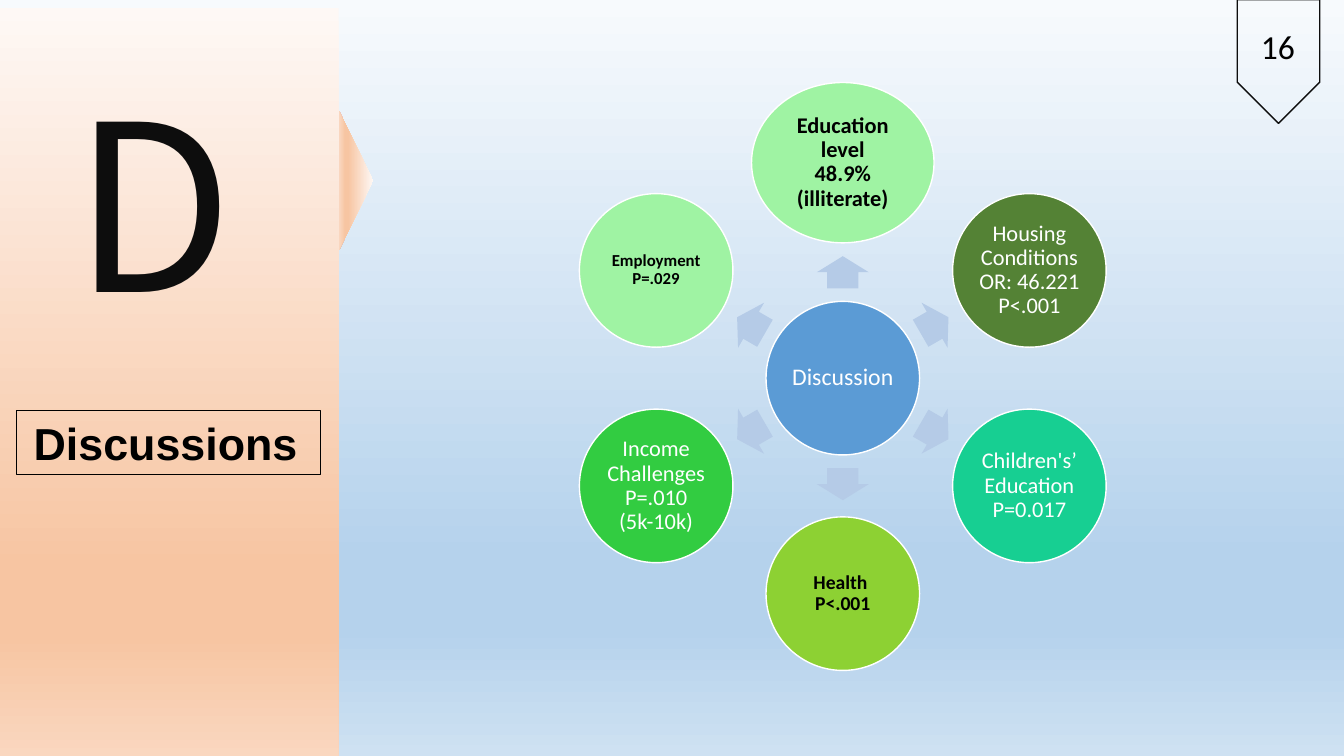
from dataclasses import dataclass
from math import cos, radians, sin

from lxml import etree
from pptx import Presentation
from pptx.dml import color
from pptx.enum import shapes, text
from pptx.oxml import ns
from pptx.util import Cm, Pt


@dataclass(frozen=True)
class Theme:
    backdrop: tuple = ("F7FAFD", "B5D2EC", "B5D2EC", "CEE1F2")
    panel: tuple = ("FEF8F5", "F7C5A2", "F7C5A2", "FAD8C1")
    stops: tuple = (0, 74, 83, 100)
    hub: str = "5B9BD5"
    arrow: str = "B5CBE7"
    mint: str = "9FF3A3"
    olive: str = "548235"
    teal: str = "17CF92"
    lime: str = "8DD133"
    green: str = "32CC41"
    white: str = "FFFFFF"
    black: str = "000000"
    ink: str = "0D0D0D"
    body: str = "Calibri"
    heading: str = "Arial"
    display: str = "Noto Sans CJK JP"
    small: int = 12
    medium: int = 14
    normal: int = 16
    hub_size: int = 17
    gap: int = 18
    number: int = 24
    title: int = 32
    letter: int = 166


theme = Theme()
prs = Presentation()
prs.slide_width, prs.slide_height = Cm(33.87), Cm(19.05)
s = prs.slides.add_slide(prs.slide_layouts[6])


def add_centred(kind, x, y, w, h, fill=None, line=None, width=1, angle=0):
    sp = s.shapes.add_shape(kind, Cm(x - w / 2), Cm(y - h / 2), Cm(w), Cm(h))
    sp.shadow.inherit = False
    sp.rotation = angle
    if fill:
        sp.fill.solid()
        sp.fill.fore_color.rgb = color.RGBColor.from_string(fill)
    else:
        sp.fill.background()
    if line:
        sp.line.color.rgb = color.RGBColor.from_string(line)
        sp.line.width = Pt(width)
    else:
        sp.line.fill.background()
    return sp


def write(sp, words, size, ink, font=theme.body, bold=False, spacing=1.0):
    tf = sp.text_frame
    tf.text = words
    tf.word_wrap = True
    tf.vertical_anchor = text.MSO_ANCHOR.MIDDLE
    tf.margin_left = tf.margin_right = tf.margin_top = tf.margin_bottom = Cm(0.05)
    p = tf.paragraphs[0]
    p.alignment = text.PP_ALIGN.CENTER
    p.line_spacing = spacing
    for r in p.runs:
        r.font.name, r.font.size, r.font.bold = font, Pt(size), bold
        r.font.color.rgb = color.RGBColor.from_string(ink)


kinds = shapes.MSO_SHAPE
pointer = add_centred(kinds.ISOSCELES_TRIANGLE, 8.98, 4.55, 3.48, 0.86, angle=90)
panel = add_centred(kinds.RECTANGLE, 4.27, 9.73, 8.53, 19.05)

gradients = [
    (s.background.fill, s.element, theme.backdrop),
    (pointer.fill, pointer.element, theme.panel),
    (panel.fill, panel.element, theme.panel),
]
for fill, element, colours in gradients:
    fill.gradient()
    fill.gradient_angle = 270
    stop_list = next(element.iter(ns.qn("a:gsLst")))
    for stop in list(stop_list):
        stop_list.remove(stop)
    for position, colour in zip(theme.stops, colours):
        stop = etree.SubElement(stop_list, ns.qn("a:gs"), pos=str(position * 1000))
        etree.SubElement(stop, ns.qn("a:srgbClr"), val=colour)

hub_x, hub_y, diameter = 21.24, 9.53, 3.87
orbit, arrow_orbit = 5.43, 2.67
hub = add_centred(kinds.OVAL, hub_x, hub_y, diameter, diameter, theme.hub, theme.white)
write(hub, "Discussion", theme.hub_size, theme.white, spacing=0.9)

topics = [
    ("Education level\v48.9% (illiterate)", theme.mint, theme.normal, True, 4.6, 4.04),
    ("Housing Conditions\vOR: 46.221\vP<.001", theme.olive, theme.normal, False, diameter, diameter),
    ("Children's’ Education\vP=0.017", theme.teal, theme.normal, False, diameter, diameter),
    ("Health \vP<.001", theme.lime, theme.medium, True, diameter, diameter),
    ("Income Challenges\vP=.010 (5k-10k)", theme.green, theme.normal, False, diameter, diameter),
    ("Employment\vP=.029", theme.mint, theme.small, True, diameter, diameter),
]
for i, (words, colour, size, bold, w, h) in enumerate(topics):
    angle = -90 + i * 360 / len(topics)
    dx, dy = cos(radians(angle)), sin(radians(angle))
    arrow = add_centred(kinds.RIGHT_ARROW, hub_x + arrow_orbit * dx, hub_y + arrow_orbit * dy,
                        0.81, 1.31, theme.arrow, angle=angle)
    arrow.adjustments[0], arrow.adjustments[1] = 0.6, 0.5
    topic = add_centred(kinds.OVAL, hub_x + orbit * dx, hub_y + orbit * dy,
                        w, h, colour, theme.white)
    ink = theme.black if bold else theme.white
    write(topic, words, size, ink, bold=bold, spacing=0.9)

letter = s.shapes.add_textbox(Cm(1.42), Cm(1.35), Cm(4.88), Cm(7.34))
write(letter, "D", theme.letter, theme.ink, theme.display)

title = add_centred(kinds.RECTANGLE, 4.25, 11.15, 7.65, 1.63, line=theme.black, width=0.75)
write(title, "Discussions", theme.title, theme.black, theme.heading, True)
r = title.text_frame.paragraphs[0].add_run()
r.text = " "
r.font.name, r.font.size = theme.body, Pt(theme.gap)

add_centred(kinds.PENTAGON, 32.22, 1.55, 3.12, 2.08, line=theme.ink, angle=90)
number = s.shapes.add_textbox(Cm(31.52), Cm(0.53), Cm(1.37), Cm(1.27))
write(number, "16", theme.number, theme.black)

prs.save("out.pptx")
